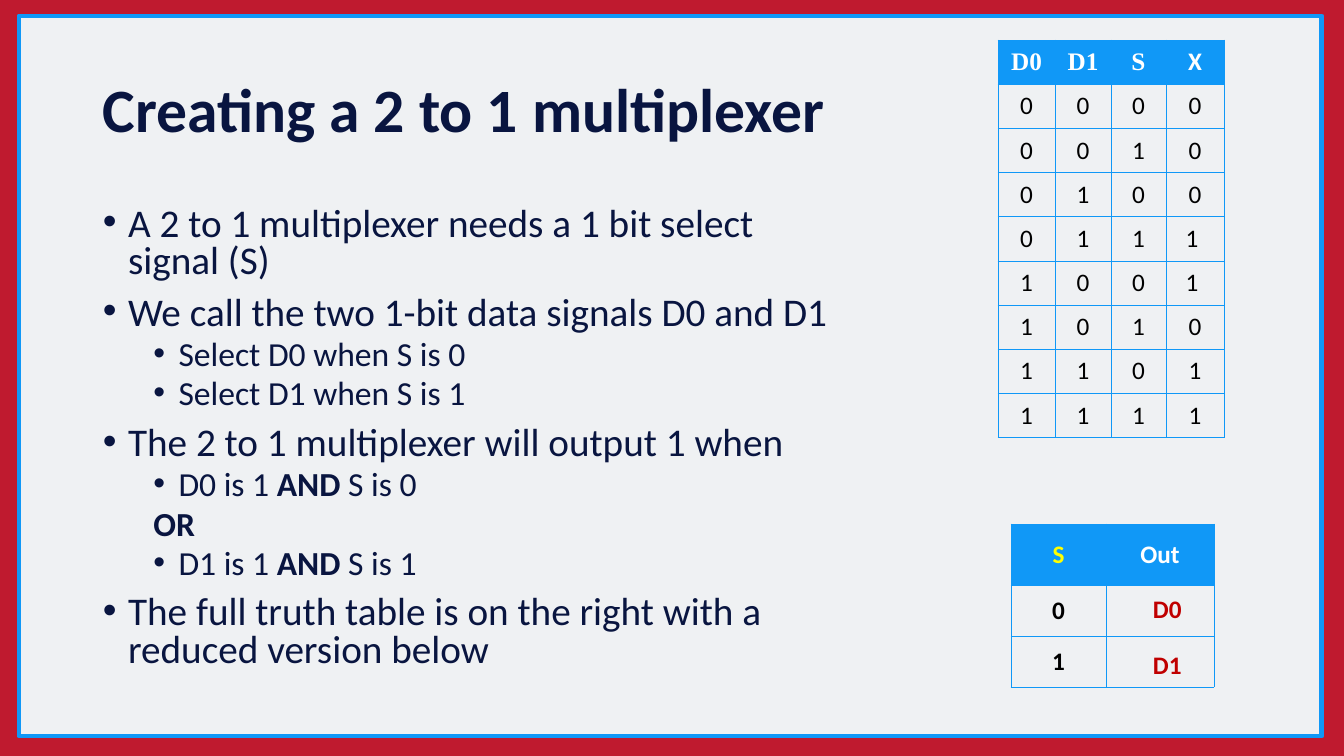
from itertools import product

from lxml import etree
from pptx import Presentation
from pptx import util as u
from pptx.dml.color import RGBColor
from pptx.enum import shapes, text
from pptx.oxml.ns import qn

SCALE = 914400 / 100.8
NAVY, BLUE, RED, WHITE, BLACK = "091540", "1098F7", "C00000", "FFFFFF", "000000"
POINTS = [
    (0, "A 2 to 1 multiplexer needs a 1 bit select signal (S)"),
    (0, "We call the two 1-bit data signals D0 and D1"),
    (1, "Select D0 when S is 0"),
    (1, "Select D1 when S is 1"),
    (0, "The 2 to 1 multiplexer will output 1 when"),
    (1, "D0 is 1 *AND* S is 0"),
    (1, "*OR*"),
    (1, "D1 is 1 *AND* S is 1"),
    (0, "The full truth table is on the right with a reduced version below"),
]


def px(length):
    """Turn pixels into EMU."""
    return u.Emu(round(length * SCALE))


def paint(target, color):
    """Give a fill or line format a solid colour."""
    target.solid()
    target.fore_color.rgb = RGBColor.from_string(color)


def set_font(font, size, color, bold=False, name="Calibri"):
    """Set the look of a font."""
    font.name, font.size, font.bold = name, u.Pt(size), bold
    font.color.rgb = RGBColor.from_string(color)


def add_text_box(page, box, wrap=True):
    """Add an empty text box and return its text frame."""
    frame = page.shapes.add_textbox(*map(px, box)).text_frame
    frame.word_wrap = wrap
    return frame


def set_indent(para, left, hanging, bullet):
    """Indent a paragraph and give it a bullet if asked."""
    props = para._p.get_or_add_pPr()
    props.set("marL", str(u.Inches(left)))
    props.set("indent", str(u.Inches(-hanging)))
    if bullet:
        etree.SubElement(props, qn("a:buFont"), typeface="Arial")
        etree.SubElement(props, qn("a:buChar"), char="•")
    else:
        etree.SubElement(props, qn("a:buNone"))


def add_frame(page, box):
    """Draw the red background and the bordered panel."""
    paint(page.background.fill, "BF1A2F")
    panel = page.shapes.add_shape(shapes.MSO_SHAPE.RECTANGLE, *map(px, box))
    panel.shadow.inherit = False
    paint(panel.fill, "EFF1F3")
    paint(panel.line.fill, BLUE)
    panel.line.width = u.Pt(3.5)


def add_title(page, box):
    """Write the slide title."""
    frame = add_text_box(page, box)
    frame.vertical_anchor = text.MSO_ANCHOR.MIDDLE
    para = frame.paragraphs[0]
    para.text, para.line_spacing = "Creating a 2 to 1 multiplexer", 0.9
    set_font(para.font, 44, NAVY, True)


def add_points(page, box):
    """Write the bulleted explanation, with starred words in bold."""
    frame = add_text_box(page, box)
    for index, (level, wording) in enumerate(POINTS):
        para = frame.add_paragraph() if index else frame.paragraphs[0]
        para.level, para.line_spacing = level, 0.8
        para.space_before = u.Pt(5 if level else 10)
        set_font(para.font, 24 if level else 28, NAVY)
        for part, words in enumerate(wording.split("*")):
            if words:
                span = para.add_run()
                span.text = words
                set_font(span.font, 24 if level else 28, NAVY, part % 2 == 1)
        bullet = wording != "*OR*"
        hanging = 0.25 if bullet else 0
        set_indent(para, 0.5 * level + hanging, hanging, bullet)


def add_borders(cell):
    """Draw thin blue lines on all four sides of a cell."""
    props = cell._tc.get_or_add_tcPr()
    for index, side in enumerate(("lnL", "lnR", "lnT", "lnB")):
        line = etree.Element(qn("a:" + side), w=str(u.Pt(0.5)))
        fill = etree.SubElement(line, qn("a:solidFill"))
        etree.SubElement(fill, qn("a:srgbClr"), val=BLUE)
        props.insert(index, line)


def add_grid(page, corner, widths, heights, rows, style):
    """Add a table with a blue header; style gives each cell's font settings."""
    box = (*corner, sum(widths), sum(heights))
    table = page.shapes.add_table(len(rows), len(widths), *map(px, box)).table
    table.first_row = table.horz_banding = False
    for column, width in zip(table.columns, widths):
        column.width = px(width)
    for row, height in zip(table.rows, heights):
        row.height = px(height)
    for r, c in product(range(len(rows)), range(len(widths))):
        cell = table.cell(r, c)
        cell.margin_left = cell.margin_right = px(7)
        cell.margin_top = cell.margin_bottom = 0
        cell.vertical_anchor = text.MSO_ANCHOR.MIDDLE
        if r:
            cell.fill.background()
        else:
            paint(cell.fill, BLUE)
        add_borders(cell)
        para = cell.text_frame.paragraphs[0]
        para.text, para.alignment = rows[r][c], text.PP_ALIGN.CENTER
        set_font(para.font, 18, **style(r, c))


def add_truth_table(page, corner):
    """Add the full truth table, whose X is D1 if S is set and D0 otherwise."""
    rows = [("D0", "D1", "S", "X")]
    for d0, d1, s in product("01", repeat=3):
        x = d1 if s == "1" else d0
        rows.append((d0, d1, s, x + "\u00a0" if d0 != d1 and x == "1" else x))

    def style(r, c):
        """Style the header in white and the values in black."""
        if r:
            return {"color": BLACK}
        return {"color": WHITE, "bold": True, "name": "Calibri" if c == 3 else "Times New Roman"}

    add_grid(page, corner, (57, 56, 55, 58), [44.2] * len(rows), rows, style)


def add_reduced_table(page, corner):
    """Add the reduced table with its floating output labels."""

    def style(r, c):
        """Style the select heading in yellow."""
        return {"color": BLACK if r else ("FFFF00", WHITE)[c], "bold": True}

    rows = [("S", "Out"), ("0", ""), ("1", "")]
    add_grid(page, corner, (95, 108), (61, 51, 51), rows, style)
    left, top = corner
    for index, name in enumerate(("D0", "D1")):
        frame = add_text_box(page, (left + 132, top + 64 + 56 * index, 49, 40), False)
        frame.auto_size = text.MSO_AUTO_SIZE.SHAPE_TO_FIT_TEXT
        para = frame.paragraphs[0]
        para.text = name
        set_font(para.font, 18, RED, True)


def main():
    """Build and save the deck."""
    deck = Presentation()
    deck.slide_width, deck.slide_height = px(1344), px(756)
    page = deck.slides.add_slide(deck.slide_layouts[6])
    add_frame(page, (19, 16, 1303, 720))
    add_title(page, (93, 40, 1159, 146))
    add_points(page, (93, 202, 765, 514))
    add_reduced_table(page, (1011, 524))
    add_truth_table(page, (998, 40))
    deck.save("out.pptx")


main()
